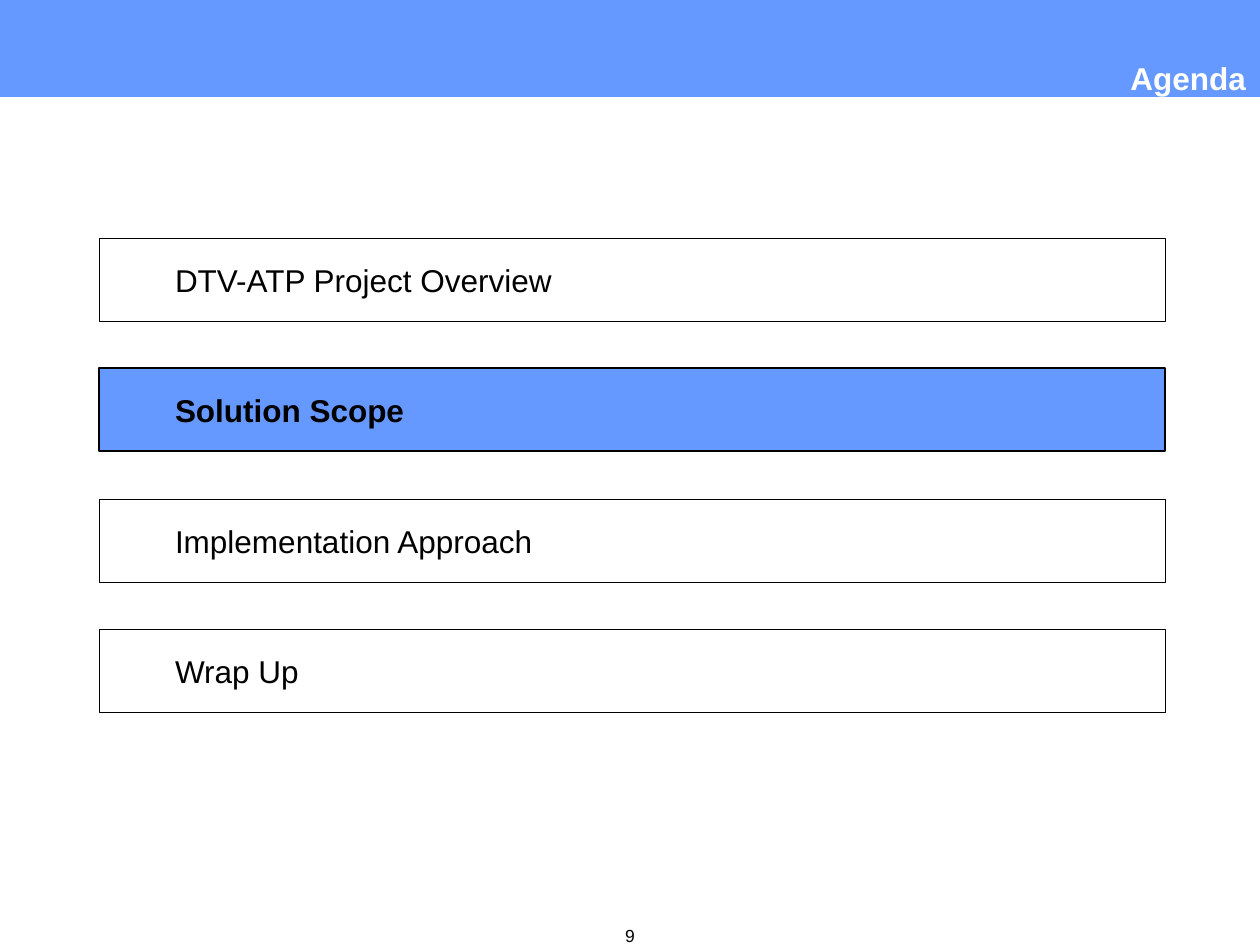
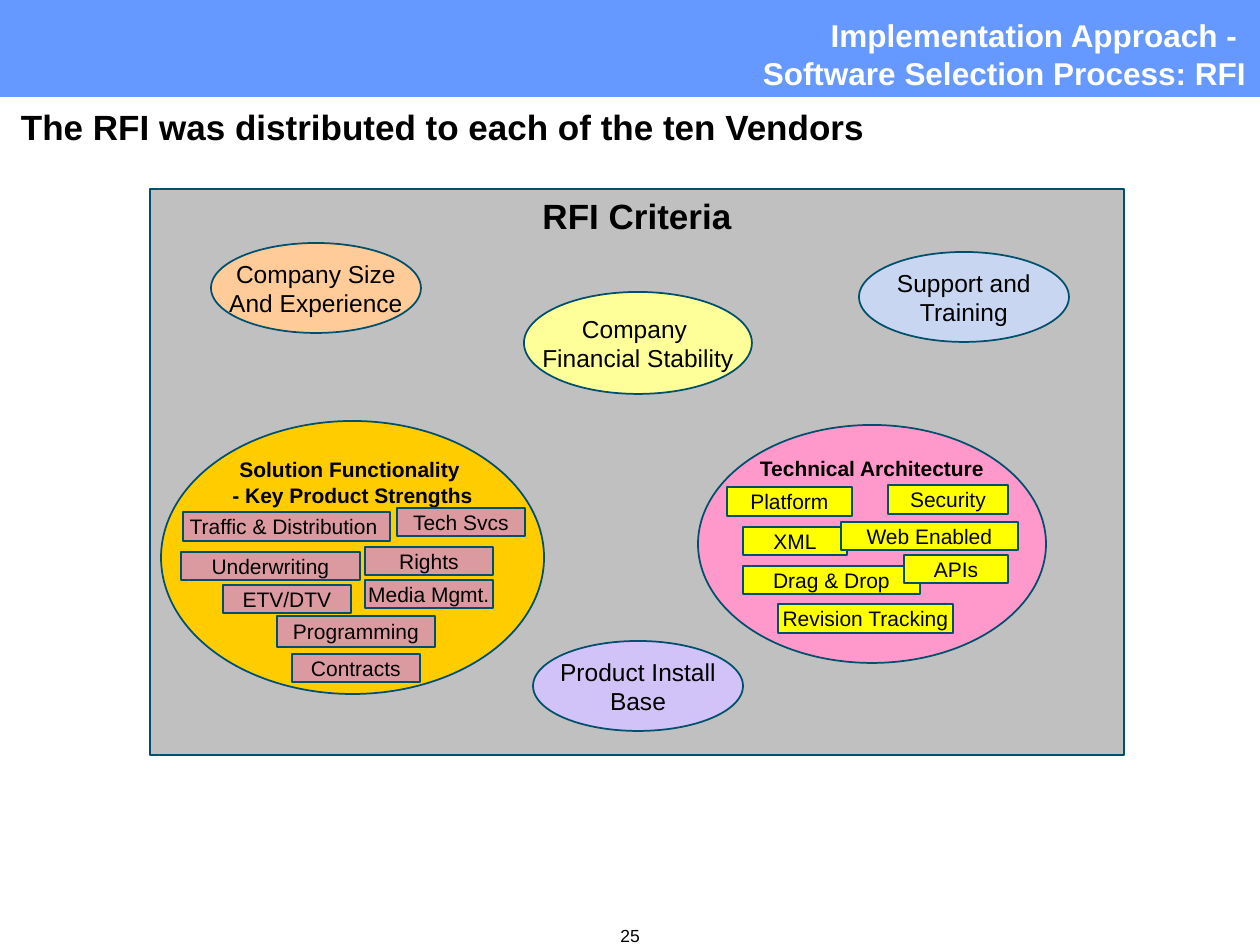
"""Build an agenda slide and an RFI criteria slide in one shared style."""
from pptx import Presentation
from pptx.dml.color import RGBColor
from pptx.enum.shapes import MSO_SHAPE as Shape
from pptx.enum.text import MSO_ANCHOR as Anchor, PP_ALIGN as Align
from pptx.util import Emu, Pt

PX = 914400 / 126
WIDTH, HEIGHT = 1260, 945
FONT = "Arial"
BLUE, TEAL, BLACK, WHITE = "6699FF", "004F6D", "000000", "FFFFFF"
GRAY, ROSE, YELLOW = "C0C0C0", "DA9AA0", "FFFF00"

AGENDA = ["DTV-ATP Project Overview", "Solution Scope", "Implementation Approach", "Wrap Up"]
CURRENT = "Solution Scope"

CRITERIA = [
    (["Company Size", "And Experience"], (211, 243, 210, 90), "FFCC99"),
    (["Product Install", "Base"], (533, 641, 210, 90), "D1C2F8"),
    (["Support and", "Training"], (859, 252, 210, 90), "C9D6F1"),
    (["Company ", "Financial Stability"], (524, 292, 228, 102), "FFFF99"),
]

GROUPS = [
    (["Solution Functionality ", "- Key Product Strengths"], (161, 421, 383, 273), "FFCC00", ROSE, [
        ("Media Mgmt.", (365, 580, 128, 28)),
        ("Tech Svcs", (397, 508, 128, 28)),
        ("Underwriting", (181, 552, 179, 28)),
        ("Traffic & Distribution ", (183, 512, 207, 29)),
        ("Programming", (277, 616, 158, 31)),
        ("Rights", (365, 547, 128, 28)),
        ("Contracts", (292, 654, 128, 28)),
        ("ETV/DTV", (223, 585, 128, 28)),
    ]),
    (["Technical Architecture"], (698, 425, 348, 238), "FF99CC", YELLOW, [
        ("Revision Tracking", (778, 604, 175, 29)),
        ("Security", (888, 485, 120, 29)),
        ("XML", (743, 527, 104, 28)),
        ("Web Enabled", (841, 522, 177, 28)),
        ("Drag & Drop", (743, 566, 177, 28)),
        ("APIs", (904, 555, 104, 28)),
        ("Platform", (727, 487, 125, 29)),
    ]),
]


def px(length):
    return Emu(round(length * PX))


def color(code):
    return RGBColor.from_string(code)


def write(shape, lines, size, bold=False, ink=BLACK, align=Align.CENTER,
          anchor=Anchor.MIDDLE, insets=(13, 6, 13, 6), wrap=False):
    frame = shape.text_frame
    frame.word_wrap = wrap
    frame.vertical_anchor = anchor
    frame.margin_left, frame.margin_top, frame.margin_right, frame.margin_bottom = map(px, insets)
    frame.text = "\n".join(lines)
    for para in frame.paragraphs:
        para.alignment = align
        para.font.name, para.font.size, para.font.bold = FONT, Pt(size), bold
        para.font.color.rgb = color(ink)


def add_text(page, box, lines, size, **style):
    write(page.shapes.add_textbox(*map(px, box)), lines, size, anchor=Anchor.TOP, wrap=True, **style)


def add_box(page, box, fill=None, line=TEAL, weight=1, kind=Shape.RECTANGLE):
    shape = page.shapes.add_shape(kind, *map(px, box))
    shape.shadow.inherit = False
    if fill:
        shape.fill.solid()
        shape.fill.fore_color.rgb = color(fill)
    else:
        shape.fill.background()
    if line:
        shape.line.color.rgb = color(line)
        shape.line.width = Pt(weight)
    else:
        shape.line.fill.background()
    return shape


def add_page(deck, number, title, title_top):
    page = deck.slides.add_slide(deck.slide_layouts[6])
    add_text(page, (571, 919, 118, 34), [number], 10)
    add_box(page, (0, 0, WIDTH, 97), BLUE, line=None)
    add_text(page, (40, title_top, 1219, 50), [title], 18, bold=True, ink=WHITE, align=Align.RIGHT)
    return page


def build_agenda(deck):
    page = add_page(deck, "9", "Agenda", 53)
    for row, topic in enumerate(AGENDA):
        active = topic == CURRENT
        bar = add_box(page, (99, 238 + round(130.4 * row), 1066, 83), BLUE if active else None,
                      BLACK, 0.75 if active else 0.25)
        write(bar, [topic], 18, bold=active, align=Align.LEFT, insets=(76, 6, 13, 6), wrap=True)


def build_criteria(deck):
    page = add_page(deck, "25", "Implementation Approach - \vSoftware Selection Process: RFI", 10)
    add_text(page, (21, 105, 1218, 43), ["The RFI was distributed to each of the ten Vendors"], 20,
             bold=True, align=Align.LEFT, insets=(0, 0, 0, 6))
    panel = add_box(page, (150, 189, 974, 566), GRAY)
    write(panel, ["RFI Criteria"], 20, bold=True, anchor=Anchor.TOP)
    for lines, box, fill in CRITERIA:
        write(add_box(page, box, fill, kind=Shape.OVAL), lines, 14)
    for heading, box, fill, label_fill, labels in GROUPS:
        add_box(page, box, fill, kind=Shape.OVAL)
        left, top, width, height = box
        heading_top = top + round(height * 0.15) - 11
        add_text(page, (left, heading_top, width, 12 + 25 * len(heading)), heading, 12, bold=True)
        for label, label_box in labels:
            write(add_box(page, label_box, label_fill), [label], 12)


def main():
    deck = Presentation()
    deck.slide_width, deck.slide_height = px(WIDTH), px(HEIGHT)
    build_agenda(deck)
    build_criteria(deck)
    deck.save("out.pptx")


if __name__ == "__main__":
    main()
